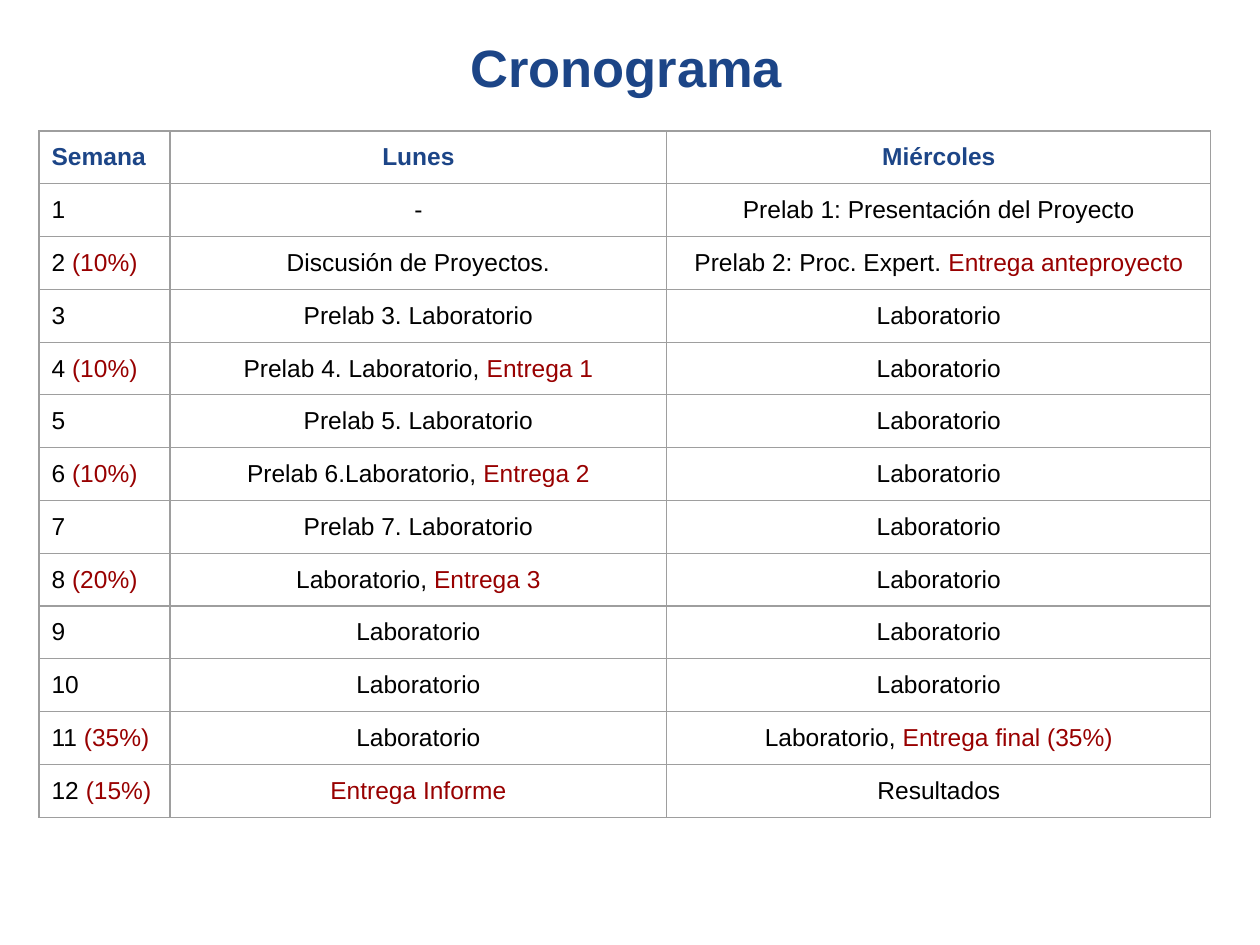
from pptx import Presentation
from pptx.dml.color import RGBColor
from pptx.enum.text import MSO_ANCHOR, PP_ALIGN
from pptx.oxml import parse_xml
from pptx.oxml.ns import nsdecls
from pptx.util import Inches, Pt

LEFT, CENTER = PP_ALIGN.LEFT, PP_ALIGN.CENTER
BOTTOM, TOP = MSO_ANCHOR.BOTTOM, MSO_ANCHOR.TOP

PX = 914400 // 126
FONT = "Arial"
INSET = Inches(0.1)
COLORS = {"heading": "1C4587", "text": "000000", "delivery": "980000", "border": "9E9E9E"}

TITLE_BOX = (18, 28, 1217, 83)
TABLE_LEFT, TABLE_TOP, TABLE_HEIGHT = 39, 131, 685
COLUMN_WIDTHS = (131, 497, 544)

# The part of a cell after "|" is a delivery or its weight
SCHEDULE = [
    ("Semana", "Lunes", "Miércoles"),
    ("1", "-", "Prelab 1: Presentación del Proyecto"),
    ("2 |(10%)", "Discusión de Proyectos.", "Prelab 2: Proc. Expert. |Entrega anteproyecto"),
    ("3", "Prelab 3. Laboratorio", "Laboratorio"),
    ("4 |(10%)", "Prelab 4. Laboratorio, |Entrega 1", "Laboratorio"),
    ("5", "Prelab 5. Laboratorio", "Laboratorio"),
    ("6 |(10%)", "Prelab 6.Laboratorio, |Entrega 2", "Laboratorio"),
    ("7", "Prelab 7. Laboratorio", "Laboratorio"),
    ("8 |(20%)", "Laboratorio, |Entrega 3", "Laboratorio"),
    ("9", "Laboratorio", "Laboratorio"),
    ("10", "Laboratorio", "Laboratorio"),
    ("11 |(35%)", "Laboratorio", "Laboratorio, |Entrega final (35%)"),
    ("12 |(15%)", "|Entrega Informe", "Resultados"),
]


def color(name):
    return RGBColor.from_string(COLORS[name])


def set_font(paragraph, size, bold):
    paragraph.font.name = FONT
    paragraph.font.size = Pt(size)
    paragraph.font.bold = bold


def add_title(slide, text):
    title = slide.shapes.title
    title.left, title.top, title.width, title.height = (value * PX for value in TITLE_BOX)
    frame = title.text_frame
    frame.text = text
    frame.word_wrap = True
    frame.vertical_anchor = BOTTOM
    frame.margin_left = frame.margin_right = frame.margin_top = frame.margin_bottom = INSET
    paragraph = frame.paragraphs[0]
    paragraph.alignment = CENTER
    set_font(paragraph, 30, True)
    paragraph.font.color.rgb = color("heading")


def set_borders(cell):
    properties = cell._tc.get_or_add_tcPr()
    for position, side in enumerate(("lnL", "lnR", "lnT", "lnB")):
        line = parse_xml(
            f'<a:{side} {nsdecls("a")} w="{Pt(0.75)}"><a:solidFill>'
            f'<a:srgbClr val="{COLORS["border"]}"/></a:solidFill></a:{side}>'
        )
        properties.insert(position, line)


def fill_cell(cell, text, alignment, is_header):
    cell.fill.background()
    set_borders(cell)
    cell.margin_left = cell.margin_right = cell.margin_top = cell.margin_bottom = INSET
    cell.vertical_anchor = TOP
    paragraph = cell.text_frame.paragraphs[0]
    paragraph.alignment = alignment
    set_font(paragraph, 14, is_header)
    plain, _, delivery = text.partition("|")
    plain_color = "heading" if is_header else "text"
    for part, color_name in ((plain, plain_color), (delivery, "delivery")):
        if part:
            run = paragraph.add_run()
            run.text = part
            run.font.color.rgb = color(color_name)


def add_schedule(slide):
    table = slide.shapes.add_table(
        len(SCHEDULE), len(COLUMN_WIDTHS), TABLE_LEFT * PX, TABLE_TOP * PX,
        sum(COLUMN_WIDTHS) * PX, TABLE_HEIGHT * PX,
    ).table
    table.first_row = table.horz_banding = False
    for column, width in zip(table.columns, COLUMN_WIDTHS):
        column.width = width * PX
    for row_index, row in enumerate(SCHEDULE):
        for column_index, text in enumerate(row):
            alignment = CENTER if column_index else LEFT
            fill_cell(table.cell(row_index, column_index), text, alignment, row_index == 0)


def main():
    presentation = Presentation()
    presentation.slide_width, presentation.slide_height = Inches(10), Inches(7.5)
    slide = presentation.slides.add_slide(presentation.slide_layouts[5])
    add_title(slide, "Cronograma")
    add_schedule(slide)
    presentation.save("out.pptx")


if __name__ == "__main__":
    main()
